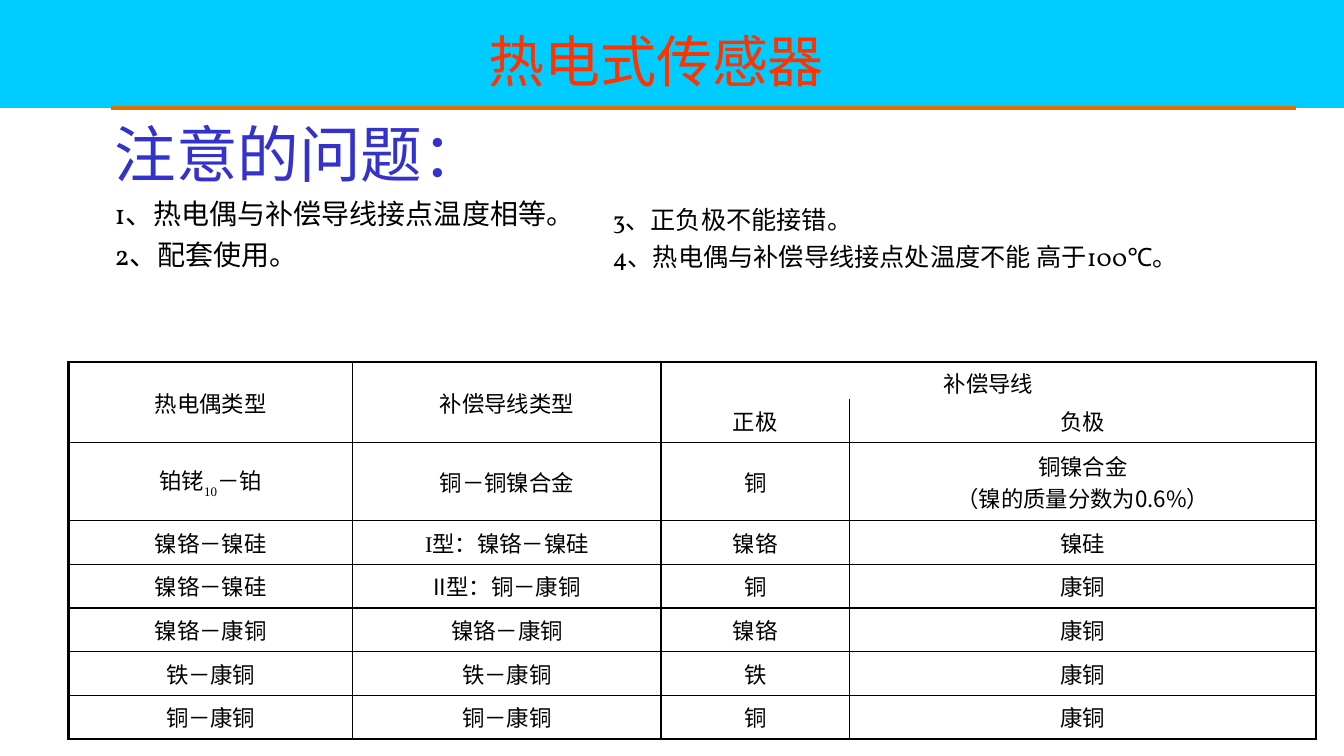
from pptx import Presentation
from pptx import util as u
from pptx.dml.color import RGBColor
from pptx.enum import shapes, text
from pptx.oxml import parse_xml
from pptx.oxml.ns import nsdecls
from pptx.oxml.xmlchemy import OxmlElement

SANS, SERIF, BODY = "Noto Sans CJK SC", "Times New Roman", "Vollkorn"
BLACK = "000000"
COLUMNS = [7.16, 7.77, 4.75, 11.76]
ROWS = [0.94, 1.1, 1.96] + [1.1] * 5
CELLS = [
    ["热电偶类型", "补偿导线类型", "补偿导线", ""],
    ["", "", "正极", "负极"],
    ["铂铑10－铂", "铜－铜镍合金", "铜", "铜镍合金\n（镍的质量分数为0.6%）"],
    ["镍铬－镍硅", "I型：镍铬－镍硅", "镍铬", "镍硅"],
    ["镍铬－镍硅", "II型：铜－康铜", "铜", "康铜"],
    ["镍铬－康铜", "镍铬－康铜", "镍铬", "康铜"],
    ["铁－康铜", "铁－康铜", "铁", "康铜"],
    ["铜－康铜", "铜－康铜", "铜", "康铜"],
]
SANS_ROWS = (2, 4)  # body rows set in sans after the first column


def colour(value):
    return RGBColor.from_string(value)


def add_span(para, words, size, font, value):
    span = para.add_run()
    span.text = words
    for name, setting in {"size": u.Pt(size), "name": font}.items():
        setattr(span.font, name, setting)
    span.font.color.rgb = colour(value)
    return span


def add_text(page, place, lines, font, align=None, anchor=text.MSO_ANCHOR.TOP):
    """Each line is (words, size, colour, space before)."""
    box = page.shapes.add_textbox(*map(u.Cm, place))
    frame = box.text_frame
    frame.word_wrap = True
    frame.vertical_anchor = anchor
    for number, (words, size, value, before) in enumerate(lines):
        para = frame.add_paragraph() if number else frame.paragraphs[0]
        para.alignment = align
        if before:
            para.space_before = u.Pt(before)
        add_span(para, words, size, font, value)


def add_band(page):
    band = page.shapes.add_shape(
        shapes.MSO_SHAPE.RECTANGLE, 0, 0, u.Cm(33.87), u.Cm(2.72))
    band.shadow.inherit = False
    band.fill.solid()
    band.fill.fore_color.rgb = colour("00CCFF")
    band.line.fill.background()


def add_rule(page):
    rule = page.shapes.add_connector(
        shapes.MSO_CONNECTOR.STRAIGHT, *map(u.Cm, (2.79, 2.72, 32.66, 2.72)))
    rule.line.width = u.Pt(2.25)
    rule.line.color.rgb = colour("DE6F00")
    rule._element.spPr.append(OxmlElement("a:effectLst"))


def set_borders(cell, widths):
    properties = cell._tc.get_or_add_tcPr()
    for position, (side, width) in enumerate(widths.items()):
        paint = (f'<a:solidFill><a:srgbClr val="{BLACK}"/></a:solidFill>'
                 if width else "<a:noFill/>")
        properties.insert(position, parse_xml(
            f'<a:{side} {nsdecls("a")} w="{u.Pt(width)}">{paint}</a:{side}>'))


def fill_cell(cell, words, font):
    for number, line in enumerate(words.split("\n")):
        frame = cell.text_frame
        para = frame.add_paragraph() if number else frame.paragraphs[0]
        para.alignment = text.PP_ALIGN.CENTER
        before, index, after = line.partition("10")
        add_span(para, before, 16, font, BLACK)
        if index:
            subscript = add_span(para, index, 16, font, BLACK)
            subscript.font._element.set("baseline", "-30000")
            add_span(para, after, 16, font, BLACK)


def add_wire_table(page):
    frame = page.shapes.add_table(
        len(ROWS), len(COLUMNS), u.Cm(1.73), u.Cm(9.12),
        u.Cm(sum(COLUMNS)), u.Cm(sum(ROWS)))
    table = frame.table
    table.first_row = table.horz_banding = False
    for column, width in zip(table.columns, COLUMNS):
        column.width = u.Cm(width)
    for row, height in zip(table.rows, ROWS):
        row.height = u.Cm(height)
    for first, last in (((0, 0), (1, 0)), ((0, 1), (1, 1)), ((0, 2), (0, 3))):
        table.cell(*first).merge(table.cell(*last))

    cell_format = {
        "margin_left": u.Cm(0.33), "margin_right": u.Cm(0.33),
        "margin_top": u.Cm(0.13), "margin_bottom": u.Cm(0.13),
        "vertical_anchor": text.MSO_ANCHOR.MIDDLE,
    }
    for r, line in enumerate(CELLS):
        for c, words in enumerate(line):
            cell = table.cell(r, c)
            cell.fill.background()
            if cell.is_spanned:
                continue
            for name, setting in cell_format.items():
                setattr(cell, name, setting)
            sans = r < 2 or (r in SANS_ROWS and c > 0)
            fill_cell(cell, words, SANS if sans else SERIF)
            # Heavy outside, thin inside, open between the two header rows
            right = c + (cell.span_width if cell.is_merge_origin else 1)
            split = c >= 2
            set_borders(cell, {
                "lnL": 2 if c == 0 else 1,
                "lnR": 2 if right == len(COLUMNS) else 1,
                "lnT": 2 if r == 0 else 0 if r == 1 and split else 1,
                "lnB": (2 if r == len(ROWS) - 1
                        else 0 if r == 0 and split else 1),
            })


def main():
    deck = Presentation()
    deck.slide_width, deck.slide_height = u.Cm(33.87), u.Cm(19.05)
    page = deck.slides.add_slide(deck.slide_layouts[6])

    # Title band
    add_band(page)
    add_rule(page)
    add_text(page, (0.94, 0.91, 31.19, 1.19),
             [("热电式传感器", 40, "FF3300", 0)], SERIF,
             text.PP_ALIGN.CENTER, text.MSO_ANCHOR.MIDDLE)

    # Points to note
    add_text(page, (2.64, 2.79, 21.16, 4.7), [
        ("注意的问题：", 44, "3333CC", 0),
        ("1、热电偶与补偿导线接点温度相等。", 20, BLACK, 5),
        ("2、配套使用。", 20, BLACK, 5),
    ], BODY)
    add_text(page, (15.19, 5.03, 16.92, 2.18), [
        ("3、正负极不能接错。", 18, BLACK, 0),
        ("4、热电偶与补偿导线接点处温度不能 高于100℃。", 18, BLACK, 5),
    ], BODY)

    # Compensating wires
    add_wire_table(page)

    deck.save("out.pptx")


if __name__ == "__main__":
    main()
